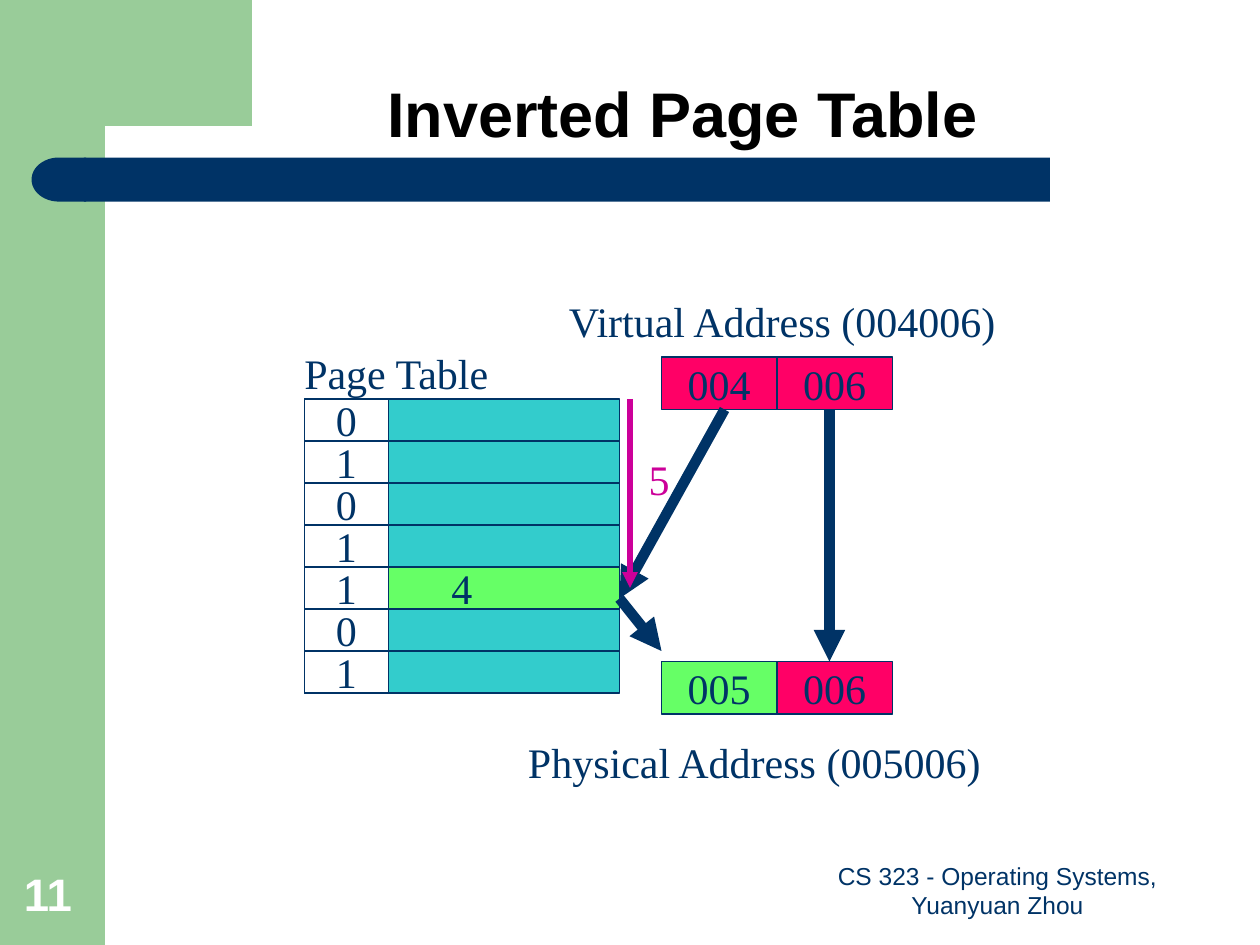
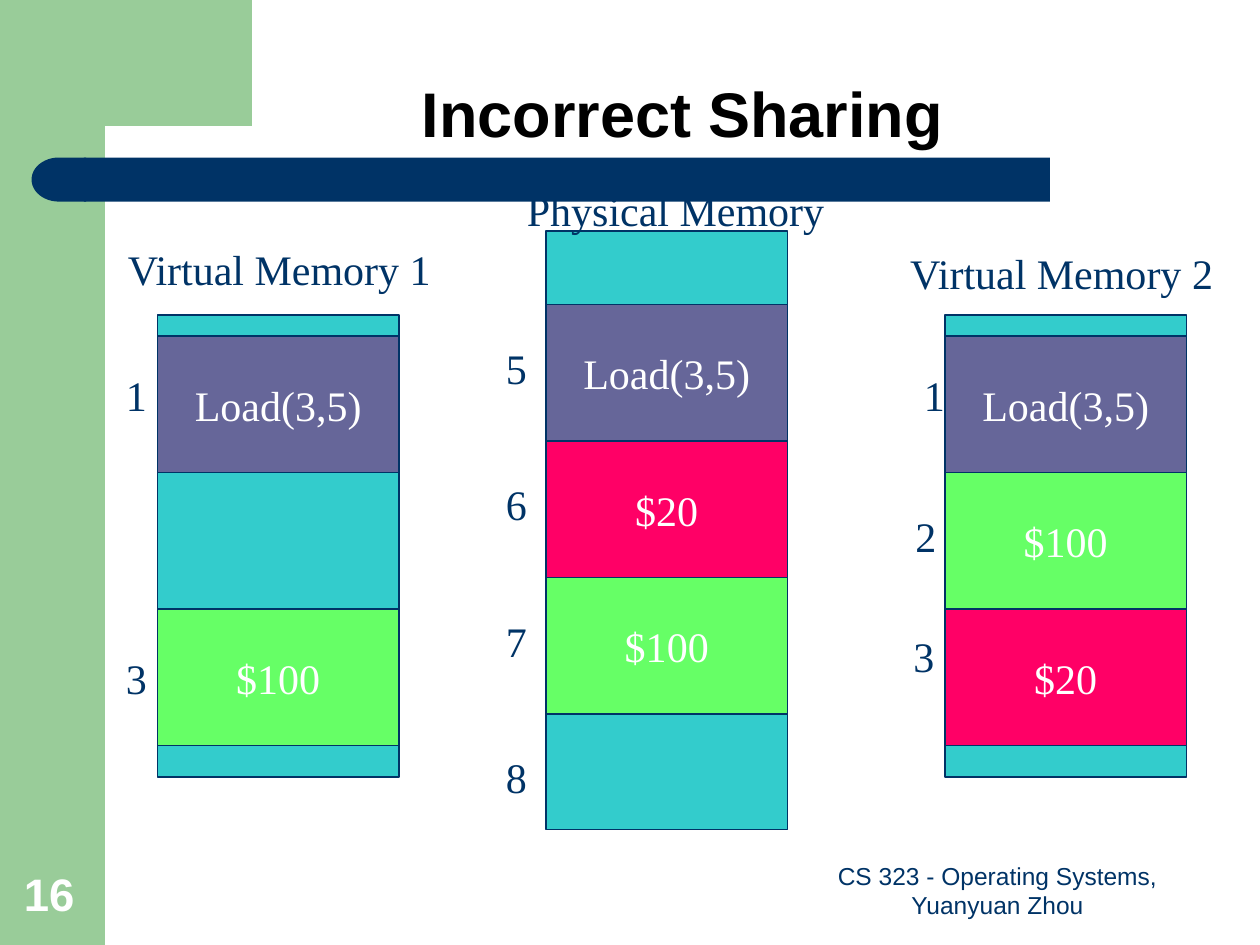
import pptx
import pptx.dml.color
import pptx.enum.shapes
import pptx.enum.text
import pptx.oxml
import pptx.oxml.ns
import pptx.util

CELL = 1 / 12  # inches; the slide is 120 columns by 90 rows
SHAPE = pptx.enum.shapes.MSO_SHAPE
ALIGN = pptx.enum.text.PP_ALIGN
ANCHOR = pptx.enum.text.MSO_ANCHOR
FIT = pptx.enum.text.MSO_AUTO_SIZE

NAVY, SAGE, WHITE, BLACK = "003366", "99CC99", "FFFFFF", "000000"
TEAL, GREEN, PINK = "33CCCC", "66FF66", "FF0066"
SLATE, MAGENTA = "666699", "CC0099"
HEADING_FONT, DIAGRAM_FONT = "Arial", "Times New Roman"

LABEL_HEIGHT = 6
DIGIT_WIDTH = 4.3
ADDRESS_WIDTH, ADDRESS_HEIGHT = 11, 5
MEMORY_WIDTH, BLOCK_HEIGHT = 23, 13


def cells(*counts):
    return [pptx.util.Inches(n * CELL) for n in counts]


def rgb(color):
    return pptx.dml.color.RGBColor.from_string(color)


def paint(s, fill, line=None):
    s.shadow.inherit = False
    s.fill.solid()
    s.fill.fore_color.rgb = rgb(fill)
    if line:
        s.line.color.rgb = rgb(line)
        s.line.width = pptx.util.Pt(0.75)
    else:
        s.line.fill.background()


def write(s, text, color, size=24, font=DIAGRAM_FONT, bold=False,
          align=ALIGN.CENTER, anchor=ANCHOR.MIDDLE, wrap=False):
    tf = s.text_frame
    tf.word_wrap = wrap
    tf.auto_size = FIT.NONE
    tf.vertical_anchor = anchor
    p = tf.paragraphs[0]
    p.text = text
    p.alignment = align
    p.font.name = font
    p.font.size = pptx.util.Pt(size)
    p.font.bold = bold
    p.font.color.rgb = rgb(color)
    return p


def add_box(slide, x, y, w, h, fill, text="", color=NAVY):
    s = slide.shapes.add_shape(SHAPE.RECTANGLE, *cells(x, y, w, h))
    paint(s, fill, NAVY)
    if text:
        write(s, text, color)


def add_label(slide, x, y, w, text, color=NAVY):
    s = slide.shapes.add_textbox(*cells(x, y, w, LABEL_HEIGHT))
    write(s, text, color, align=ALIGN.LEFT, anchor=ANCHOR.TOP)


def add_arrow(slide, start, end, color=NAVY, width=6):
    c = slide.shapes.add_connector(
        pptx.enum.shapes.MSO_CONNECTOR.STRAIGHT, *cells(*start, *end))
    c.line.color.rgb = rgb(color)
    c.line.width = pptx.util.Pt(width)
    tail = pptx.oxml.parse_xml(
        f'<a:tailEnd {pptx.oxml.ns.nsdecls("a")} type="triangle"/>')
    c.line._get_or_add_ln().append(tail)
    c.element.spPr.append(pptx.oxml.parse_xml(
        f'<a:effectLst {pptx.oxml.ns.nsdecls("a")}/>'))


def add_corner(slide):
    """Green block at the top left, with a rounded inner corner."""
    outline = [(2, 0), (2, 0.83), (0.83, 0.84), (0.77, 0.85), (0.71, 0.92),
               (0.68, 1.04), (0.67, 1.28), (0.5, 1.28), (0.5, 0)]
    builder = slide.shapes.build_freeform(
        *outline[0], scale=pptx.util.Inches(1))
    builder.add_line_segments(outline[1:], close=True)
    return builder.convert_to_shape()


def decorate_layout(layout, slide):
    """Draw the bands on a slide, then move them to the back of its layout."""
    side = slide.shapes.add_shape(SHAPE.RECTANGLE, *cells(0, 0, 10, 90))
    corner = add_corner(slide)
    bar = slide.shapes.add_shape(SHAPE.RECTANGLE, *cells(8, 15, 92, 4.2))
    cap = slide.shapes.add_shape(
        SHAPE.FLOWCHART_DELAY, *cells(3, 15, 5.2, 4.2))
    cap.rotation = 180
    bands = [(side, SAGE), (corner, SAGE), (bar, NAVY), (cap, NAVY)]
    for i, (s, fill) in enumerate(bands):
        paint(s, fill)
        layout.shapes.element.insert(2 + i, s.element)


def add_heading(slide, text):
    s = slide.shapes.title
    s.left, s.top, s.width, s.height = cells(13, 0, 104, 15)
    p = write(s, text, BLACK, 36, HEADING_FONT, True,
              anchor=ANCHOR.BOTTOM, wrap=True)
    p.line_spacing = 0.9


def add_footer(slide, number):
    course = slide.shapes.add_textbox(*cells(76, 82, 38, 6.2))
    write(course, "CS 323 - Operating Systems, Yuanyuan Zhou", NAVY, 14,
          HEADING_FONT, anchor=ANCHOR.BOTTOM, wrap=True)
    page = slide.shapes.add_textbox(*cells(1.1, 82, 7.7, 6.3))
    write(page, str(number), WHITE, 26, HEADING_FONT, True,
          ALIGN.LEFT, ANCHOR.BOTTOM, True)


def add_address(slide, y, parts):
    for i, (text, fill) in enumerate(parts):
        add_box(slide, 63 + i * ADDRESS_WIDTH, y,
                ADDRESS_WIDTH, ADDRESS_HEIGHT, fill, text)


def add_page_table(slide, x, y, valid_bits, match_row, match_text):
    row_height = 4
    for i, bit in enumerate(valid_bits):
        top = y + i * row_height
        fill, text = (GREEN, match_text) if i == match_row else (TEAL, "")
        add_box(slide, x, top, 30, row_height, fill, text)
        add_box(slide, x, top, 8, row_height, WHITE, bit)


def add_memory(slide, x, y, h, blocks):
    """Draw a memory with its blocks, each a (top row, fill, text)."""
    add_box(slide, x, y, MEMORY_WIDTH, h, TEAL)
    for top, fill, text in blocks:
        add_box(slide, x, top, MEMORY_WIDTH, BLOCK_HEIGHT, fill, text, WHITE)


def fill_page_table_slide(slide):
    add_address(slide, 34, [("004", PINK), ("006", PINK)])
    add_address(slide, 63, [("005", GREEN), ("006", PINK)])
    add_page_table(slide, 29, 38, "0101101", 4, "4")
    add_arrow(slide, (79, 39), (79, 63))
    add_arrow(slide, (69, 39), (59, 57))
    add_arrow(slide, (59, 57), (63, 62))
    add_label(slide, 27.8, 32.5, 20.3, "Page Table")
    add_label(slide, 53, 27.6, 43.4, "Virtual Address (004006)")
    add_label(slide, 49.1, 69.6, 45.7, "Physical Address (005006)")
    add_arrow(slide, (60, 38), (60, 56), MAGENTA, 3)
    add_label(slide, 60.6, 42.6, DIGIT_WIDTH, "5", MAGENTA)


def fill_sharing_slide(slide):
    load, twenty, hundred = (SLATE, "Load(3,5)"), (PINK, "$20"), (GREEN, "$100")
    add_memory(slide, 15, 30, 44, [(32, *load), (58, *hundred)])
    add_memory(slide, 52, 22, 57, [(29, *load), (42, *twenty), (55, *hundred)])
    add_memory(slide, 90, 30, 44, [(32, *load), (45, *hundred), (58, *twenty)])
    add_label(slide, 11, 22.6, 31.4, "Virtual Memory 1")
    add_label(slide, 49, 17, 30.7, "Physical Memory")
    add_label(slide, 85.5, 23, 31.4, "Virtual Memory 2")
    page_numbers = [(10.8, 34.6, "1"), (10.8, 61.6, "3"),
                    (86.8, 34.6, "1"), (86, 48, "2"), (85.8, 59.5, "3")]
    page_numbers += [(47, 32 + i * BLOCK_HEIGHT, str(5 + i)) for i in range(4)]
    for x, y, number in page_numbers:
        add_label(slide, x, y, DIGIT_WIDTH, number)


def main():
    prs = pptx.Presentation()
    prs.slide_width, prs.slide_height = cells(120, 90)
    layout = prs.slide_layouts.get_by_name("Title Only")
    pages = [("Inverted Page Table", 11, fill_page_table_slide),
             ("Incorrect Sharing", 16, fill_sharing_slide)]
    for i, (title, number, fill_slide) in enumerate(pages):
        slide = prs.slides.add_slide(layout)
        if i == 0:
            decorate_layout(layout, slide)
        add_heading(slide, title)
        fill_slide(slide)
        add_footer(slide, number)
    prs.save("out.pptx")


if __name__ == "__main__":
    main()
